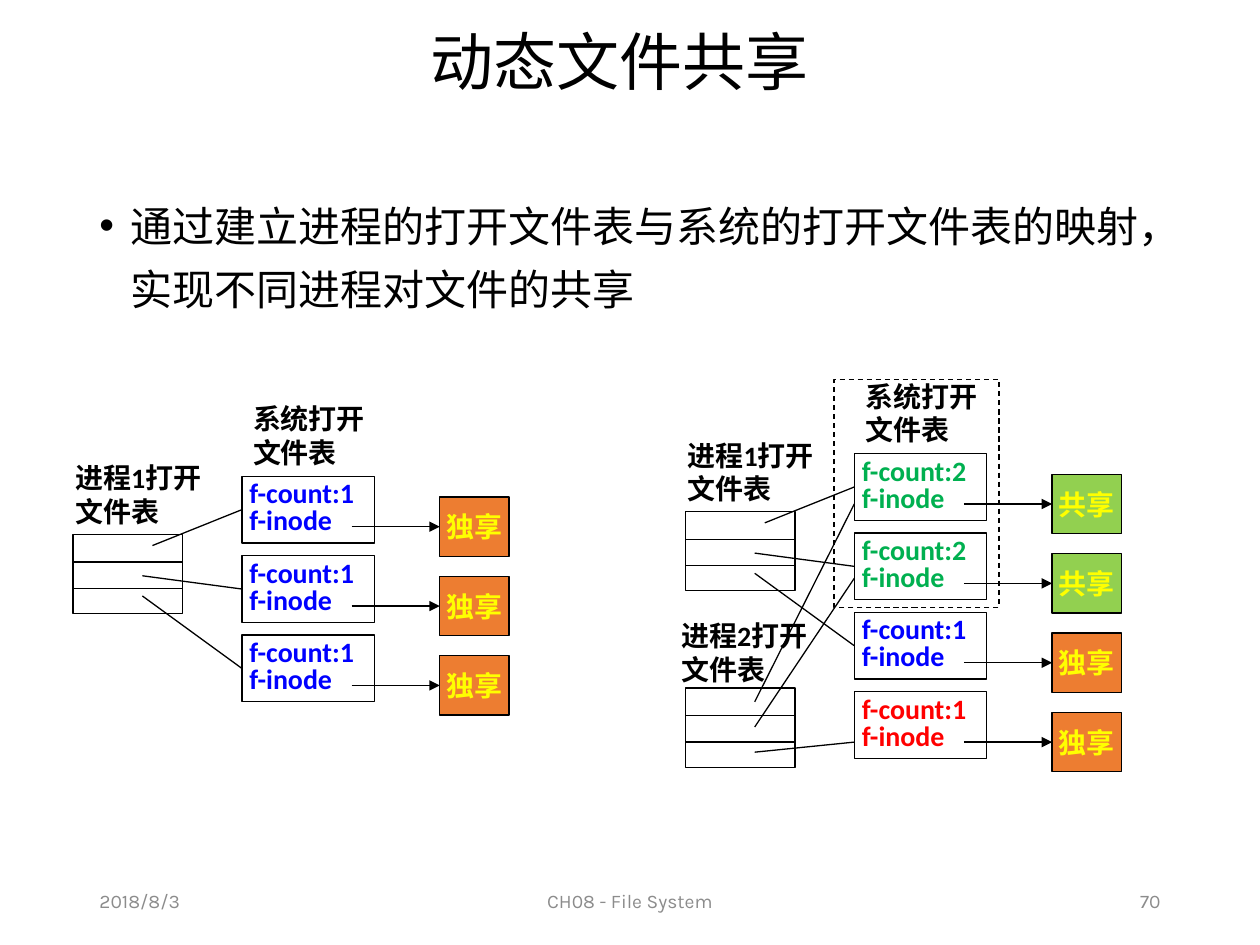
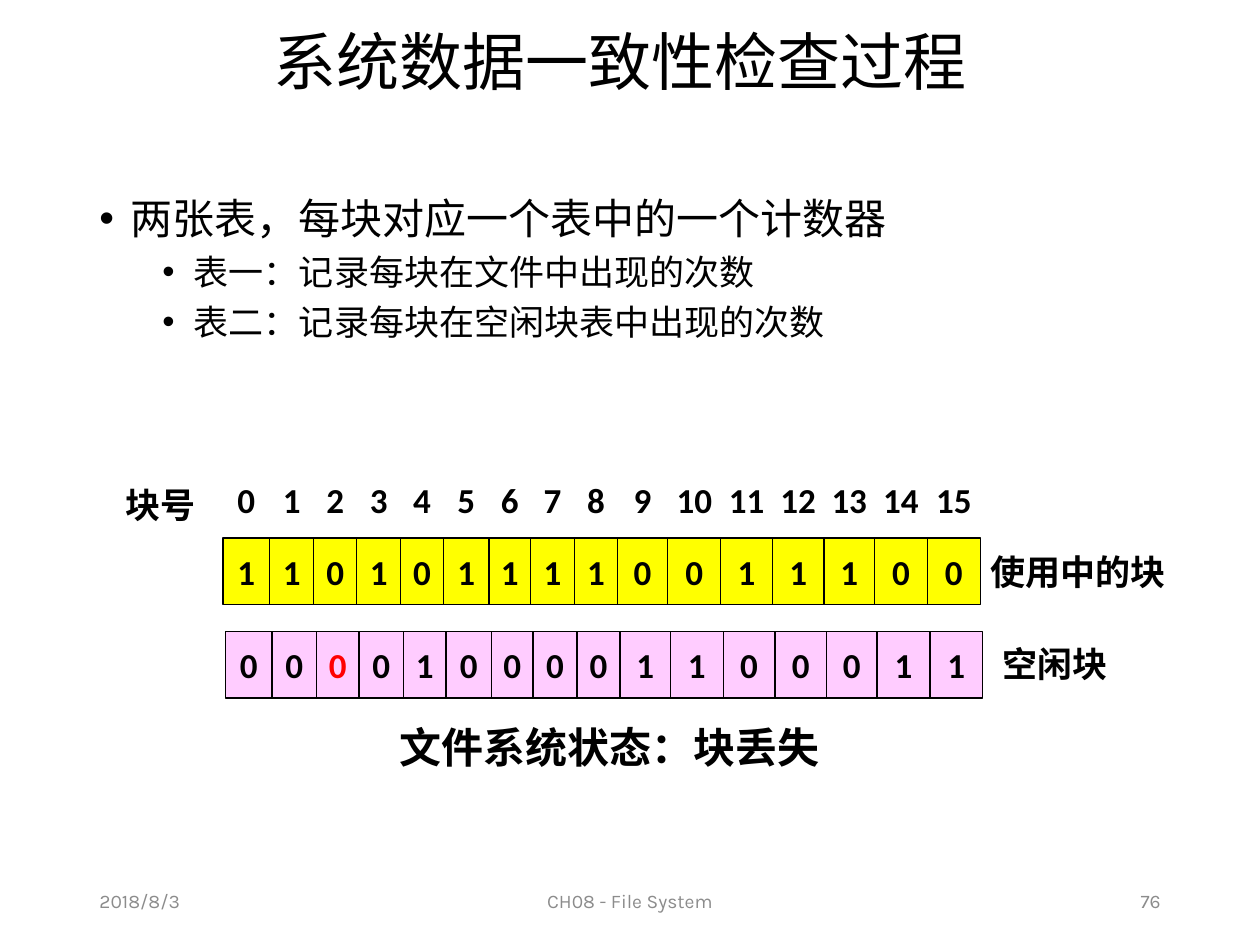
from lxml import etree
from pptx import Presentation, util as u
from pptx.dml.color import RGBColor
from pptx.enum import dml, shapes, text
from pptx.oxml.ns import qn

HAN, BOLD, FOOT = "Noto Sans CJK SC", "Calibri", "Karla"
BLACK, GREY, BLUE, RED = "000000", "8C8C8C", "0000FF", "FF0000"
GREEN, LIME, RUST, YELLOW, PINK = "00B050", "92D050", "ED7D31", "FFFF00", "FFCCFF"
LEFT, MID, RIGHT = text.PP_ALIGN.LEFT, text.PP_ALIGN.CENTER, text.PP_ALIGN.RIGHT
PAD = (0.1, 0.05, 0.1, 0.05)


# ---- basic parts ----
def tint(code):
    return RGBColor.from_string(code)


def frame(shape, pad=PAD, mid=False, wrap=True):
    tf = shape.text_frame
    tf.word_wrap = wrap
    tf.vertical_anchor = text.MSO_ANCHOR.MIDDLE if mid else text.MSO_ANCHOR.TOP
    tf.margin_left, tf.margin_top, tf.margin_right, tf.margin_bottom = map(u.Inches, pad)
    return tf


def add_run(para, words, size, font=BOLD, color=BLACK, bold=False):
    run = para.add_run()
    run.text = words
    run.font.size, run.font.bold, run.font.name = u.Pt(size), bold, font
    run.font.color.rgb = tint(color)
    east = etree.SubElement(run.font._element, qn("a:ea"))
    east.set("typeface", HAN)


def add_text(slide, box, words, size, font=BOLD, color=BLACK, bold=True,
             align=LEFT, mid=False, pad=PAD):
    shape = slide.shapes.add_textbox(*map(u.Inches, box))
    para = frame(shape, pad, mid).paragraphs[0]
    para.alignment = align
    add_run(para, words, size, font, color, bold)
    return para


def add_rect(slide, box, fill=None, dash=False):
    rect = slide.shapes.add_shape(shapes.MSO_SHAPE.RECTANGLE, *map(u.Inches, box))
    rect.shadow.inherit = False
    if fill:
        rect.fill.solid()
        rect.fill.fore_color.rgb = tint(fill)
    else:
        rect.fill.background()
    rect.line.color.rgb = tint(BLACK)
    rect.line.width = u.Pt(0.75)
    if dash:
        rect.line.dash_style = dml.MSO_LINE.DASH
    return rect


def add_line(slide, start, end, arrow=False, goal=None):
    """Draw a line; with a goal, end at the middle of its left side."""
    line = slide.shapes.add_connector(shapes.MSO_CONNECTOR.STRAIGHT,
                                      *map(u.Inches, (*start, *end)))
    line.line.color.rgb = tint(BLACK)
    line.line.width = u.Pt(0.75)
    if arrow:
        tail = etree.SubElement(line.line._get_or_add_ln(), qn("a:tailEnd"))
        tail.set("type", "triangle")
    etree.SubElement(line._element.spPr, qn("a:effectLst"))
    if goal is not None:
        line.end_connect(goal, 1)


# ---- shared page parts ----
def add_page(deck, title, number):
    slide = deck.slides.add_slide(deck.slide_layouts[6])
    para = add_text(slide, (0.61, 0.14, 8.62, 0.76), title, 36, HAN,
                    bold=False, align=MID, mid=True)
    para.line_spacing = 0.9
    for left, width, words, align in ((0.69, 2.25, "2018/8/3", LEFT),
                                      (3.31, 3.38, "CH08 - File System", MID),
                                      (7.06, 2.25, number, RIGHT)):
        add_text(slide, (left, 6.95, width, 0.4), words, 11, FOOT, GREY,
                 False, align, True)
    return slide


def add_body(slide, items, spacing):
    shape = slide.shapes.add_textbox(*map(u.Inches, (0.69, 1.44, 8.62, 5.38)))
    tf = frame(shape)
    for i, (level, words) in enumerate(items):
        para = tf.add_paragraph() if i else tf.paragraphs[0]
        props = para._p.get_or_add_pPr()
        props.set("marL", str(u.Inches(0.25 + 0.5 * level)))
        props.set("indent", str(u.Inches(-0.25)))
        font = etree.SubElement(props, qn("a:buFont"))
        font.set("typeface", "Arial")
        etree.SubElement(props, qn("a:buChar")).set("char", "•")
        para.level = level
        para.line_spacing = spacing
        if i:
            para.space_before = u.Pt(2)
        add_run(para, words, 24 - 4 * level, HAN)


# ---- open file tables ----
def add_proc(slide, x, y):
    add_rect(slide, (x, y, 0.87, 0.63))
    for dy in (0.22, 0.43):
        add_line(slide, (x, y + dy), (x + 0.87, y + dy))


def add_system(slide, x, y, rows):
    """Stack the system entries, each with an arrow to its mark."""
    entries = []
    for i, (count, color, mark, fill) in enumerate(rows):
        top = y + 0.63 * i
        entry = add_rect(slide, (x, top, 1.05, 0.53))
        tf = frame(entry, (0.06, 0.05, 0.06, 0.05))
        for j, words in enumerate((f"f-count:{count}", "f-inode")):
            para = tf.add_paragraph() if j else tf.paragraphs[0]
            para.alignment, para.line_spacing = LEFT, 0.8
            add_run(para, words, 16, color=color, bold=True)
        mid = top + 0.4
        goal = add_rect(slide, (x + 1.57, mid - 0.47 / 2, 0.55, 0.47), fill)
        para = frame(goal, mid=True, wrap=False).paragraphs[0]
        para.alignment = MID
        add_run(para, mark, 16, color=YELLOW, bold=True)
        add_line(slide, (x + 0.87, mid), (x + 1.57, mid), True, goal)
        entries.append(entry)
    add_text(slide, (x - 0.01, y - 0.64, 1.18, 0.64), "系统打开文件表", 16)
    return entries


def add_share(slide, x, y, rows):
    """Place process 1 at x, y with the system table beside it."""
    add_proc(slide, x, y)
    add_text(slide, (x - 0.08, y - 0.63, 1.26, 0.64), "进程1打开文件表", 16)
    entries = add_system(slide, x + 1.34, y - 0.46, rows)
    for (dx, dy), entry in zip(((0.63, 0.09), (0.55, 0.33), (0.55, 0.49)), entries):
        add_line(slide, (x + dx, y + dy), (x + 1.34, y), goal=entry)


def add_second(slide, x, y):
    """Place process 2 and its lines to the system table."""
    add_proc(slide, x, y)
    add_text(slide, (x - 0.13, y - 0.6, 1.26, 0.64), "进程2打开文件表", 16)
    for dy, end in ((0.11, -1.46), (0.31, -0.87), (0.51, 0.43)):
        add_line(slide, (x + 0.55, y + dy), (x + 1.34, y + end))


def make_share(deck):
    slide = add_page(deck, "动态文件共享", "70")
    add_body(slide, [(0, "通过建立进程的打开文件表与系统的打开文件表的映射，"
                         "实现不同进程对文件的共享")], 1.25)
    own = (1, BLUE, "独享", RUST)
    both = (2, GREEN, "共享", LIME)
    add_share(slide, 0.58, 4.24, [own] * 3)
    add_share(slide, 5.44, 4.06, [both, both, own, (1, RED, "独享", RUST)])
    add_second(slide, 5.44, 5.46)
    add_rect(slide, (6.62, 3.01, 1.31, 1.81), dash=True)


# ---- block counters ----
EDGES = (0, 0.37, 0.72, 1.06, 1.41, 1.75, 2.11, 2.44, 2.79, 3.13,
         3.53, 3.95, 4.36, 4.77, 5.17, 5.59, 6.01)


def add_cells(shape, values, mid=True, hot=None):
    """Centre each value in its cell by means of tab stops."""
    para = frame(shape, (0, 0.05, 0, 0.05), mid).paragraphs[0]
    para.alignment = LEFT
    tabs = etree.SubElement(para._p.get_or_add_pPr(), qn("a:tabLst"))
    for i, (left, right) in enumerate(zip(EDGES, EDGES[1:])):
        tab = etree.SubElement(tabs, qn("a:tab"))
        tab.set("pos", str(u.Inches((left + right) / 2)))
        tab.set("algn", "ctr")
        add_run(para, f"\t{values[i]}", 20, color=RED if i == hot else BLACK, bold=True)


def add_row(slide, x, y, bits, fill, hot=None):
    add_cells(add_rect(slide, (x, y, EDGES[-1], 0.53), fill), bits, hot=hot)
    for edge in EDGES[1:-1]:
        add_line(slide, (x + edge, y), (x + edge, y + 0.53))


def add_counts(slide, x, y):
    add_text(slide, (x - 0.87, y + 0.04, 0.79, 0.43), "块号", 20)
    head = slide.shapes.add_textbox(*map(u.Inches, (x, y, EDGES[-1], 0.44)))
    add_cells(head, range(16), mid=False)
    add_row(slide, x, y + 0.52, "1101011110011100", YELLOW)
    add_text(slide, (x + 6.07, y + 0.57, 1.57, 0.44), "使用中的块", 20,
             pad=(0.02, 0.05, 0.02, 0.05))
    add_row(slide, x + 0.02, y + 1.26, "0000100001100011", PINK, hot=2)
    add_text(slide, (x + 6.09, y + 1.3, 1.06, 0.43), "空闲块", 20)
    add_text(slide, (x + 1.3, y + 1.93, 4.13, 0.5), "文件系统状态：块丢失", 24)


def make_check(deck):
    slide = add_page(deck, "系统数据一致性检查过程", "76")
    add_body(slide, [(0, "两张表，每块对应一个表中的一个计数器"),
                     (1, "表一：记录每块在文件中出现的次数"),
                     (1, "表二：记录每块在空闲块表中出现的次数")], 1.1)
    add_counts(slide, 1.77, 3.75)


def main():
    deck = Presentation()
    deck.slide_width, deck.slide_height = u.Inches(10), u.Inches(7.5)
    make_share(deck)
    make_check(deck)
    deck.save("out.pptx")


if __name__ == "__main__":
    main()
